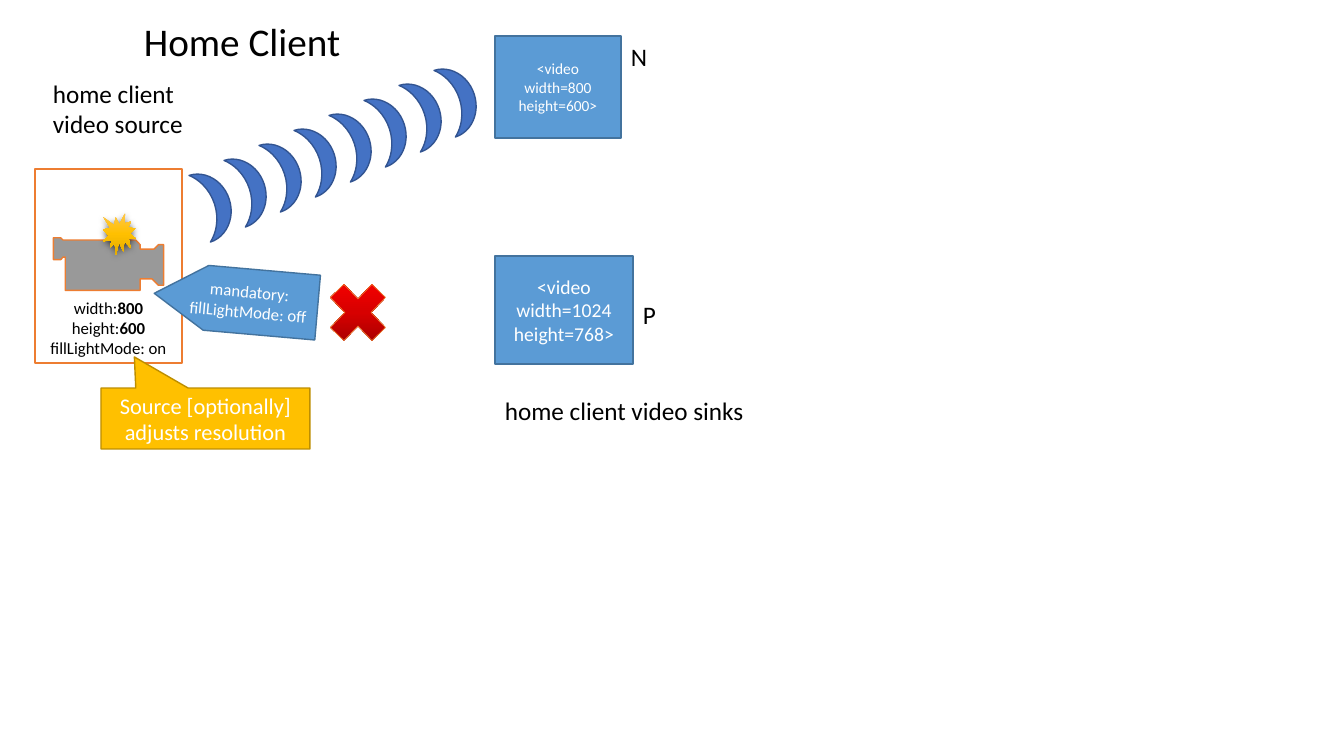
import pptx
import pptx.util
import pptx.oxml
import pptx.oxml.ns
from pptx.dml.color import RGBColor
from pptx.enum.shapes import MSO_SHAPE
from pptx.enum.text import MSO_ANCHOR, MSO_AUTO_SIZE, PP_ALIGN

PX = 914400 / 100.8
FONT = "Calibri"
WHITE = RGBColor(0xFF, 0xFF, 0xFF)
BLACK = RGBColor(0, 0, 0)
ORANGE = RGBColor(0xED, 0x7D, 0x31)
BLUE = RGBColor(0x5B, 0x9B, 0xD5)
STEEL = RGBColor(0x43, 0x73, 0x9E)
WAVE = RGBColor(0x44, 0x72, 0xC4)
NAVY = RGBColor(0x32, 0x54, 0x91)
GOLD = RGBColor(0xFF, 0xC0, 0x00)
OCHRE = RGBColor(0xBD, 0x8E, 0x00)
RED = RGBColor(0xFF, 0, 0)
REDS = (RGBColor(0x97, 0, 0), RGBColor(0xD7, 0, 0), RED)
GOLDS = (RGBColor(0xFF, 0xC6, 0x4B), GOLD, RGBColor(0xE3, 0xAB, 0x00))


def emu(*sizes):
    return [pptx.util.Emu(round(n * PX)) for n in sizes]


def write(frame, text, size, color, align=None):
    frame.text = text
    for para in frame.paragraphs:
        para.alignment = align
        for run in para.runs:
            run.font.name = FONT
            run.font.size = pptx.util.Pt(size)
            run.font.color.rgb = color


def draw(slide, kind, box, fill=None, line=None, width=1):
    shape = slide.shapes.add_shape(kind, *emu(*box))
    shape.shadow.inherit = False
    if fill is not None:
        shape.fill.solid()
        shape.fill.fore_color.rgb = fill
    if line is None:
        shape.line.fill.background()
    else:
        shape.line.color.rgb = line
        shape.line.width = pptx.util.Pt(width)
    return shape


def fill_text(shape, text, size, color=WHITE, anchor=MSO_ANCHOR.MIDDLE):
    shape.text_frame.word_wrap = True
    shape.text_frame.vertical_anchor = anchor
    write(shape.text_frame, text, size, color, PP_ALIGN.CENTER)


def label(slide, box, text, size=18):
    frame = slide.shapes.add_textbox(*emu(*box)).text_frame
    frame.word_wrap = False
    frame.auto_size = MSO_AUTO_SIZE.SHAPE_TO_FIT_TEXT
    write(frame, text, size, BLACK)


def blend(shape, colors, angle):
    """Fill with three even gradient stops; angle is clockwise in degrees."""
    stops = "".join(
        f'<a:gs pos="{i * 50000}"><a:srgbClr val="{c}"/></a:gs>'
        for i, c in enumerate(colors))
    grad = pptx.oxml.parse_xml(
        f'<a:gradFill {pptx.oxml.ns.nsdecls("a")} rotWithShape="1">'
        f'<a:gsLst>{stops}</a:gsLst>'
        f'<a:lin ang="{angle * 60000}" scaled="0"/></a:gradFill>')
    shape._element.spPr.find(pptx.oxml.ns.qn("a:prstGeom")).addnext(grad)


def cast(shape):
    """Give the shape a soft shadow below it."""
    effects = shape._element.spPr.find(pptx.oxml.ns.qn("a:effectLst"))
    effects.append(pptx.oxml.parse_xml(
        f'<a:outerShdw {pptx.oxml.ns.nsdecls("a")} blurRad="57150" '
        'dist="19050" dir="5400000" algn="ctr" rotWithShape="0">'
        '<a:srgbClr val="000000"><a:alpha val="63000"/></a:srgbClr>'
        '</a:outerShdw>'))


def camera(slide, x, y, w, h):
    label(slide, (x + 8, y - 96, 152, 71), "home client\nvideo source")
    body = draw(slide, MSO_SHAPE.ACTION_BUTTON_MOVIE, (x, y, w, h),
                WHITE, ORANGE)
    fill_text(body, "width:\nheight:\nfillLightMode: on", 12, BLACK,
              MSO_ANCHOR.BOTTOM)
    for para, value in zip(body.text_frame.paragraphs, ("800", "600")):
        run = para.add_run()
        run.text = value
        run.font.name = FONT
        run.font.size = pptx.util.Pt(12)
        run.font.bold = True
        run.font.color.rgb = BLACK
    flash = draw(slide, MSO_SHAPE.EXPLOSION1, (x + 68, y + 44, 33, 42))
    blend(flash, GOLDS, 90)
    cast(flash)


def sink(slide, x, y, w, h, text, size, name, drop):
    screen = draw(slide, MSO_SHAPE.RECTANGLE, (x, y, w, h), BLUE, STEEL)
    fill_text(screen, text, size)
    label(slide, (x + w, y + drop, 36, 40), name)


def waves(slide, x, y, w, h, count=8):
    for i in range(count):
        moon = draw(slide, MSO_SHAPE.MOON, (x + 35 * i, y - 15 * i, w, h),
                    WAVE, NAVY)
        moon.rotation = 162.2


def demand(slide, x, y, w, h):
    """The rejected constraint: a tilted arrow and a red cross."""
    tag = draw(slide, MSO_SHAPE.PENTAGON, (x, y, w, h), BLUE, STEEL)
    tag.adjustments[0] = 0.8
    tag.rotation = 5
    tag._element.spPr.get_or_add_xfrm().set("flipH", "1")
    fill_text(tag, "mandatory:\nfillLightMode: off", 12)
    cross = draw(slide, MSO_SHAPE.MATH_MULTIPLY, (x + w, y + 3, 80, 83),
                 None, ORANGE, 0.5)
    blend(cross, REDS, 270)


def callout(slide, x, y, w, h):
    note = draw(slide, MSO_SHAPE.RECTANGULAR_CALLOUT, (x, y, w, h),
                GOLD, OCHRE)
    note.adjustments[0] = -0.34
    note.adjustments[1] = -1.01
    fill_text(note, "Source [optionally] adjusts resolution", 16)


def main():
    deck = pptx.Presentation()
    deck.slide_width, deck.slide_height = emu(1344, 756)
    slide = deck.slides.add_slide(deck.slide_layouts[6])
    label(slide, (134, 12, 219, 57), "Home Client", 28)
    camera(slide, 35, 169, 147, 194)
    sink(slide, 495, 256, 138, 108, "<video\nwidth=1024\nheight=768>",
         14, "P", 38)
    sink(slide, 495, 36, 126, 102, "<video\nwidth=800\nheight=600>",
         11, "N", 0)
    label(slide, (495, 390, 262, 40), "home client video sinks")
    waves(slide, 199, 169, 31, 70)
    demand(slide, 154, 268, 164, 65)
    callout(slide, 101, 388, 209, 61)
    deck.save("out.pptx")


if __name__ == "__main__":
    main()
